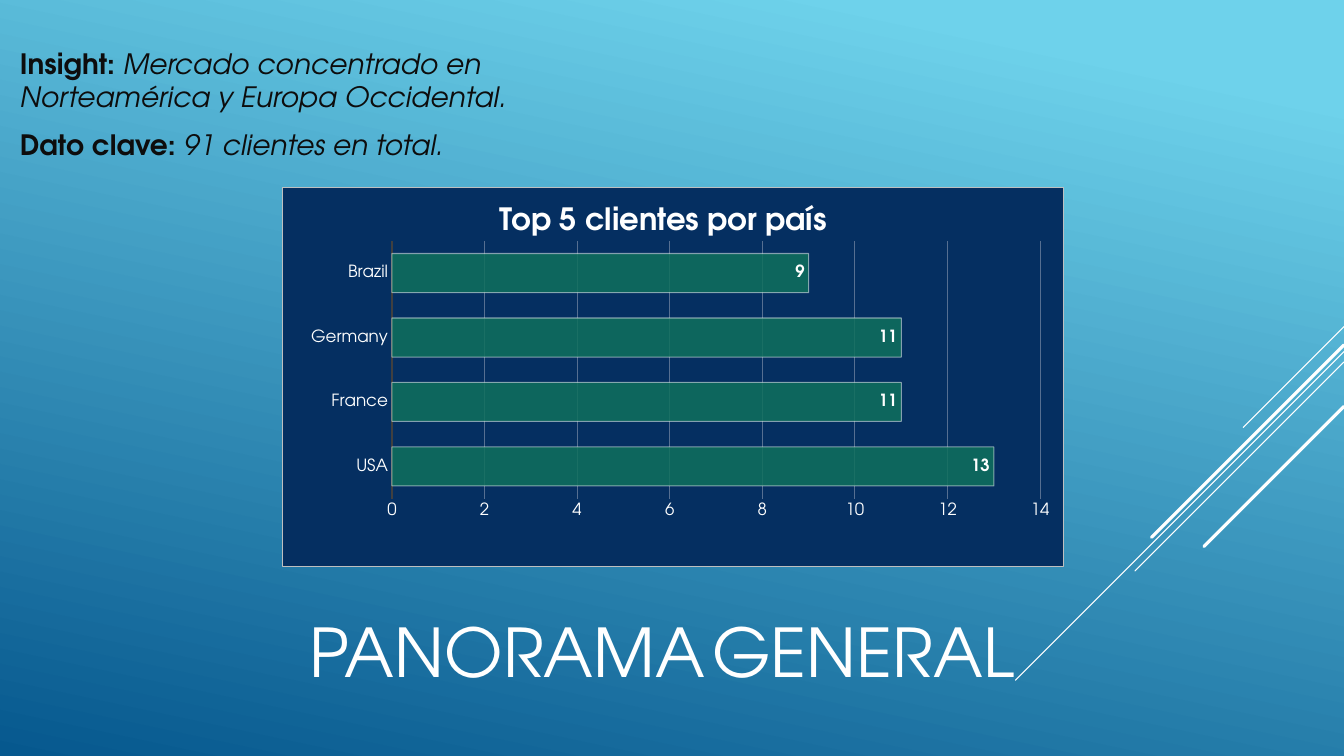
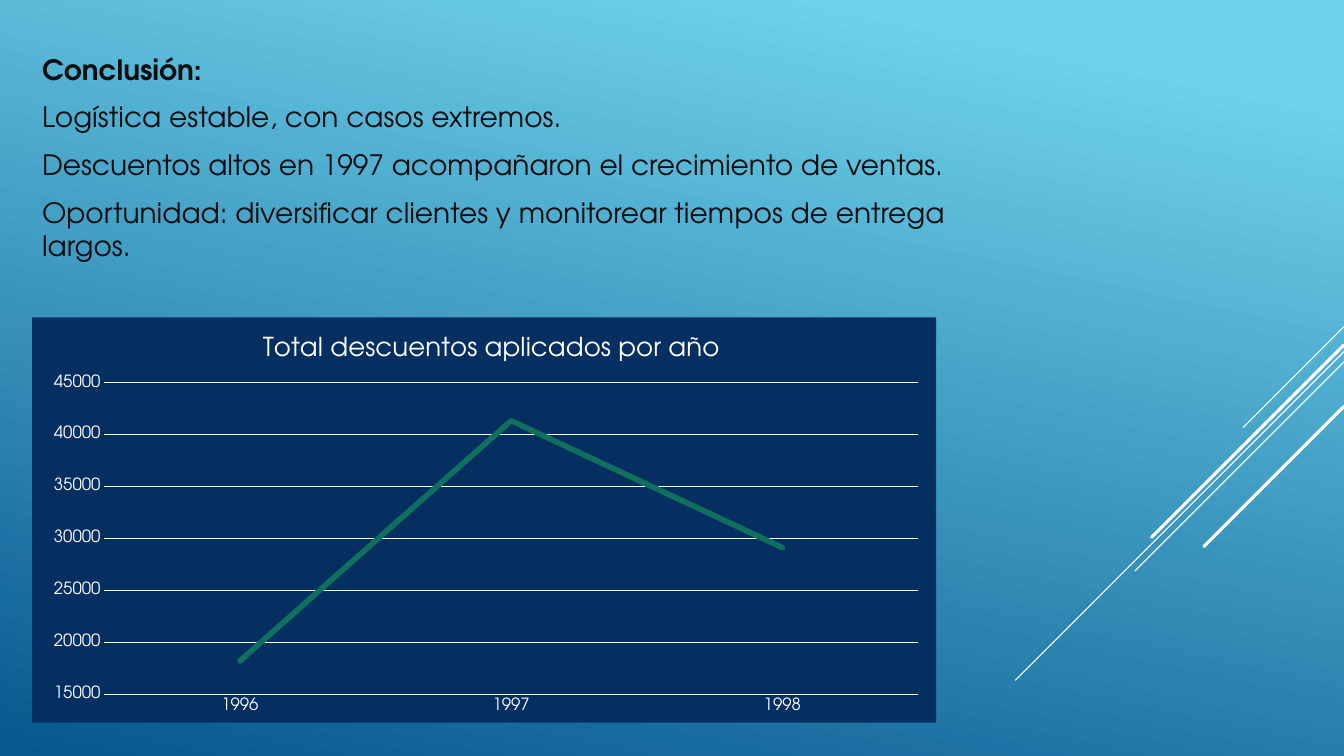
from dataclasses import dataclass
from typing import Any, NamedTuple, Optional

import pptx
import pptx.chart.data
import pptx.dml.color
import pptx.enum.chart
import pptx.enum.shapes
import pptx.enum.text
import pptx.oxml
import pptx.oxml.ns
import pptx.util

Cm = pptx.util.Cm
Pt = pptx.util.Pt
XL = pptx.enum.chart

FONT = "TeX Gyre Adventor"
COLOURS = {
    "sky": "6ED2EB",
    "deep": "06588E",
    "white": "FFFFFF",
    "ink": "0D0D0D",
    "navy": "052F61",
    "green": "0F705D",
    "border": "BFBFBF",
    "axis": "404040",
    "grid": "566F91",
}
SLIDE_WIDTH, SLIDE_HEIGHT = 33.87, 19.05


class Box(NamedTuple):
    """A rectangle in centimetres."""
    left: float
    top: float
    width: float
    height: float

    def lengths(self) -> list[pptx.util.Length]:
        return [Cm(value) for value in self]


class Ray(NamedTuple):
    """A 45-degree line falling leftwards from the right edge."""
    top: float
    reach: float
    weight: float


class Run(NamedTuple):
    text: str
    size: float = 20
    bold: bool = False
    italic: bool = False
    colour: str = "ink"


@dataclass
class ChartPanel:
    box: Box
    kind: XL.XL_CHART_TYPE
    title: Run
    title_at: tuple[float, float]
    plot_area: tuple[float, float, float, float]
    categories: list[str]
    values: list[int]
    scale: tuple[int, int, int]
    grid: str
    axis: str
    axis_weight: float
    border: Optional[str] = None


RAYS = [
    Ray(8.23, 2.54, 0.75),
    Ray(8.86, 8.28, 0.75),
    Ray(9.12, 5.27, 0.75),
    Ray(8.69, 4.85, 2.25),
    Ray(10.24, 3.53, 2.25),
]

HEADING = [[Run("PANORAMA", 48, colour="white"), Run(" ", 18, colour="white"),
            Run("GENERAL", 48, colour="white")]]
INSIGHT = [
    [Run("Insight: ", bold=True),
     Run("Mercado concentrado en Norteamérica y Europa Occidental.", italic=True)],
    [Run("Dato clave: ", bold=True), Run("91 clientes en total.", italic=True)],
]
CONCLUSION = [
    [Run("Conclusión:", bold=True)],
    [Run("Logística estable, con casos extremos.")],
    [Run("Descuentos altos en 1997 acompañaron el crecimiento de ventas.")],
    [Run("Oportunidad: diversificar clientes y monitorear tiempos de entrega largos.")],
]

CUSTOMERS = ChartPanel(
    box=Box(7.11, 4.72, 19.71, 9.58),
    kind=XL.XL_CHART_TYPE.BAR_CLUSTERED,
    title=Run("Top 5 clientes por país", 22, bold=True, colour="white"),
    title_at=(0.27, 0.03),
    plot_area=(0.14, 0.14, 0.83, 0.68),
    categories=["USA", "France", "Germany", "Brazil"],
    values=[13, 11, 11, 9],
    scale=(0, 14, 2),
    grid="grid",
    axis="axis",
    axis_weight=1.5,
    border="border",
)
DISCOUNTS = ChartPanel(
    box=Box(0.81, 8, 22.78, 10.21),
    kind=XL.XL_CHART_TYPE.LINE,
    title=Run("Total descuentos aplicados por año", 18.6, colour="white"),
    title_at=(0.25, 0.03),
    plot_area=(0.08, 0.16, 0.9, 0.77),
    categories=["1996", "1997", "1998"],
    values=[18200, 41300, 29100],
    scale=(15000, 45000, 5000),
    grid="white",
    axis="white",
    axis_weight=0.75,
)


def rgb(name: str) -> pptx.dml.color.RGBColor:
    return pptx.dml.color.RGBColor.from_string(COLOURS[name])


def style_font(font: Any, size: float, colour: str, bold: bool = False,
               italic: bool = False) -> None:
    font.name = FONT
    font.size = Pt(size)
    font.bold = bold
    font.italic = italic
    font.color.rgb = rgb(colour)


def style_line(line: Any, colour: str, weight: float) -> None:
    line.color.rgb = rgb(colour)
    line.width = Pt(weight)


def add_run(paragraph: Any, content: Run) -> None:
    run = paragraph.add_run()
    run.text = content.text
    style_font(run.font, content.size, content.colour, content.bold, content.italic)


def add_text(slide: Any, box: Box, paragraphs: list[list[Run]], before: float = 0,
             after: float = 0) -> None:
    frame = slide.shapes.add_textbox(*box.lengths()).text_frame
    frame.word_wrap = True
    frame.vertical_anchor = pptx.enum.text.MSO_ANCHOR.MIDDLE
    for index, runs in enumerate(paragraphs):
        paragraph = frame.add_paragraph() if index else frame.paragraphs[0]
        paragraph.space_before = Pt(before)
        paragraph.space_after = Pt(after)
        for content in runs:
            add_run(paragraph, content)


def round_caps(element: Any) -> None:
    for outline in element.xpath(".//a:ln"):
        outline.set("cap", "rnd")


def add_ray(slide: Any, ray: Ray) -> None:
    line = slide.shapes.add_connector(
        pptx.enum.shapes.MSO_CONNECTOR.STRAIGHT,
        Cm(SLIDE_WIDTH), Cm(ray.top),
        Cm(SLIDE_WIDTH - ray.reach), Cm(ray.top + ray.reach))
    style_line(line.line, "white", ray.weight)
    round_caps(line.element)
    properties = line.element.xpath("./p:spPr")[0]
    properties.append(pptx.oxml.parse_xml(
        f"<a:effectLst {pptx.oxml.ns.nsdecls('a')}/>"))


def add_base_slide(deck: Any) -> Any:
    """Add a blank slide with the shared gradient and diagonal rays."""
    slide = deck.slides.add_slide(deck.slide_layouts[6])
    fill = slide.background.fill
    fill.gradient()
    fill.gradient_angle = 258
    for stop, (position, colour) in zip(fill.gradient_stops,
                                        [(0.1, "sky"), (1, "deep")]):
        stop.position = position
        stop.color.rgb = rgb(colour)
    for ray in RAYS:
        add_ray(slide, ray)
    return slide


def set_layout(parent: Any, index: int, fractions: tuple[float, ...]) -> None:
    """Place a chart part by fractions of the chart: x, y and optionally w, h."""
    for old in parent.xpath("./c:layout"):
        parent.remove(old)
    target = '<c:layoutTarget val="inner"/>' if len(fractions) == 4 else ""
    sizes = "".join(f'<c:{tag} val="{value}"/>'
                    for tag, value in zip("xywh", fractions))
    parent.insert(index, pptx.oxml.parse_xml(
        f"<c:layout {pptx.oxml.ns.nsdecls('c')}><c:manualLayout>{target}"
        f'<c:xMode val="edge"/><c:yMode val="edge"/>{sizes}'
        "</c:manualLayout></c:layout>"))


def fill_chart_area(chart: Any, border: Optional[str]) -> None:
    outline = "<a:noFill/>"
    if border:
        outline = f'<a:solidFill><a:srgbClr val="{COLOURS[border]}"/></a:solidFill>'
    area = pptx.oxml.parse_xml(
        f"<c:spPr {pptx.oxml.ns.nsdecls('c', 'a')}>"
        f'<a:solidFill><a:srgbClr val="{COLOURS["navy"]}"/></a:solidFill>'
        f'<a:ln w="{Pt(0.75)}">{outline}</a:ln></c:spPr>')
    chart.element.xpath("./c:txPr")[0].addprevious(area)


def set_alpha(colour: Any, percent: int) -> None:
    colour.append(pptx.oxml.parse_xml(
        f'<a:alpha {pptx.oxml.ns.nsdecls("a")} val="{percent * 1000}"/>'))


def style_axes(chart: Any, panel: ChartPanel) -> None:
    for axis in (chart.category_axis, chart.value_axis):
        axis.major_tick_mark = XL.XL_TICK_MARK.NONE
        axis.minor_tick_mark = XL.XL_TICK_MARK.NONE
        style_font(axis.tick_labels.font, 12, "white")
    style_line(chart.category_axis.format.line, panel.axis, panel.axis_weight)
    values = chart.value_axis
    values.minimum_scale, values.maximum_scale, values.major_unit = panel.scale
    values.format.line.fill.background()
    values.has_major_gridlines = True
    style_line(values.major_gridlines.format.line, panel.grid, 0.75)


def add_chart(slide: Any, panel: ChartPanel) -> Any:
    data = pptx.chart.data.CategoryChartData()
    data.categories = panel.categories
    data.add_series("Series 1", panel.values)
    chart = slide.shapes.add_chart(panel.kind, *panel.box.lengths(), data).chart
    style_font(chart.font, 10, "white")
    fill_chart_area(chart, panel.border)
    chart.has_legend = False
    chart.has_title = True
    add_run(chart.chart_title.text_frame.paragraphs[0], panel.title)
    set_layout(chart.element.xpath("./c:chart/c:title")[0], 1, panel.title_at)
    set_layout(chart.element.xpath("./c:chart/c:plotArea")[0], 0, panel.plot_area)
    chart.plots[0].vary_by_categories = False
    style_axes(chart, panel)
    return chart


def style_bars(chart: Any) -> None:
    plot = chart.plots[0]
    plot.gap_width = 65
    bars = plot.series[0].format
    bars.fill.solid()
    bars.fill.fore_color.rgb = rgb("green")
    style_line(bars.line, "white", 0.75)
    properties = chart.element.xpath(".//c:ser/c:spPr")[0]
    set_alpha(properties.xpath("./a:solidFill/a:srgbClr")[0], 85)
    set_alpha(properties.xpath("./a:ln/a:solidFill/a:srgbClr")[0], 50)
    plot.has_data_labels = True
    labels = plot.data_labels
    labels.show_value = True
    labels.position = XL.XL_LABEL_POSITION.INSIDE_END
    style_font(labels.font, 12, "white", bold=True)


def style_trend(chart: Any) -> None:
    trend = chart.plots[0].series[0]
    trend.smooth = False
    trend.marker.style = XL.XL_MARKER_STYLE.NONE
    style_line(trend.format.line, "green", 4)
    round_caps(chart.element.xpath(".//c:ser/c:spPr")[0])


def main() -> None:
    deck = pptx.Presentation()
    deck.slide_width, deck.slide_height = Cm(SLIDE_WIDTH), Cm(SLIDE_HEIGHT)

    overview = add_base_slide(deck)
    add_text(overview, Box(7.54, 15.24, 18.8, 2.31), HEADING)
    style_bars(add_chart(overview, CUSTOMERS))
    add_text(overview, Box(0.25, 0.48, 13.72, 4.27), INSIGHT, before=4, after=6)

    closing = add_base_slide(deck)
    add_text(closing, Box(0.81, 1.12, 23.7, 5.69), CONCLUSION, before=4, after=6)
    style_trend(add_chart(closing, DISCOUNTS))

    deck.save("out.pptx")


if __name__ == "__main__":
    main()
